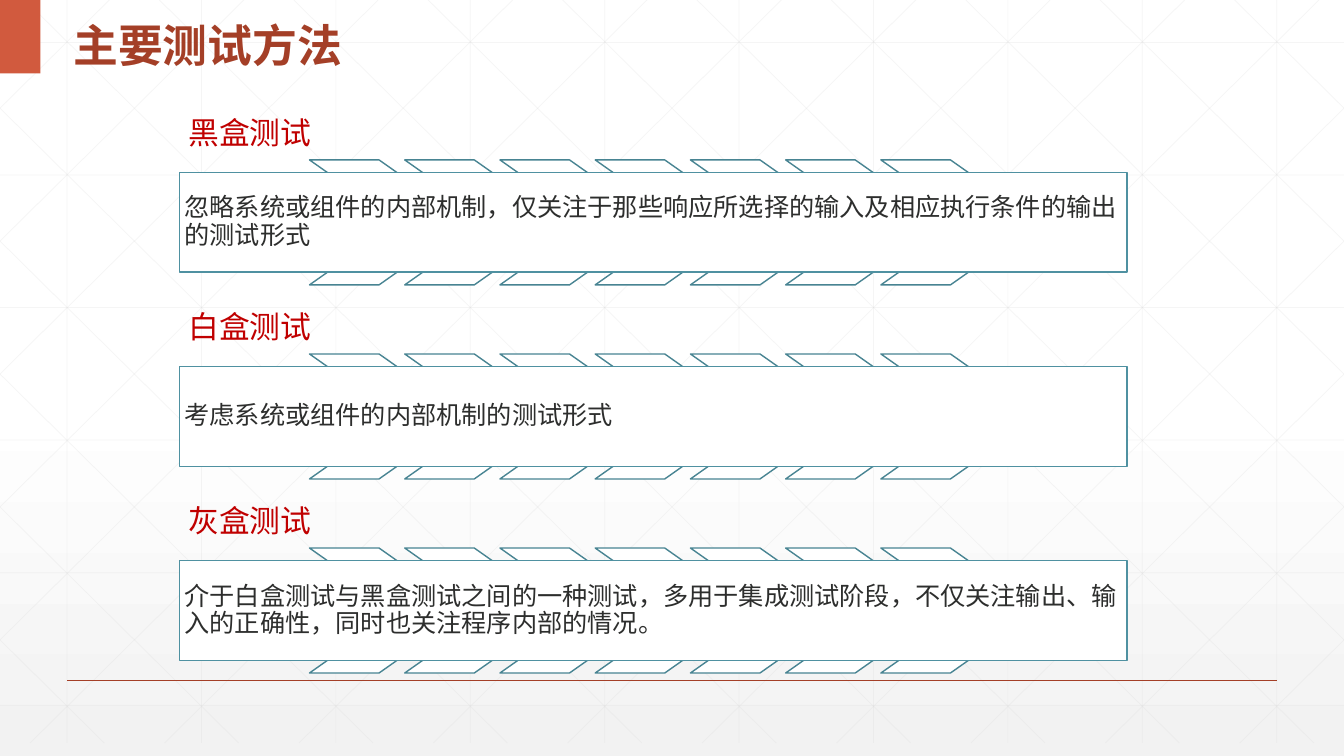
from lxml import etree
from pptx import Presentation
from pptx import util as u
from pptx.dml.color import RGBColor
from pptx.enum import shapes, text
from pptx.oxml.ns import qn

WHITE = RGBColor(0xFF, 0xFF, 0xFF)
PALE = RGBColor(0xF2, 0xF2, 0xF2)
GREY = RGBColor(0xD9, 0xD9, 0xD9)
RUST = RGBColor(0xA4, 0x3F, 0x27)
CORAL = RGBColor(0xD1, 0x5A, 0x3E)
RED = RGBColor(0xC0, 0x00, 0x00)
INK = RGBColor(0x2D, 0x2E, 0x2D)
STEEL = RGBColor(0x48, 0x84, 0x92)
TEAL = RGBColor(0x4F, 0x91, 0xA1)
SANS = "Noto Sans CJK SC"
WIDE, HIGH = 33.87, 19.05

deck = Presentation()
deck.slide_width, deck.slide_height = u.Cm(WIDE), u.Cm(HIGH)
slide = deck.slides.add_slide(deck.slide_layouts[6])


def draw(x1, y1, x2, y2, color, width, alpha=None):
    line = slide.shapes.add_connector(
        shapes.MSO_CONNECTOR.STRAIGHT, u.Cm(x1), u.Cm(y1), u.Cm(x2), u.Cm(y2))
    line.line.color.rgb = color
    line.line.width = u.Pt(width)
    props = line._element.spPr
    etree.SubElement(props, qn("a:effectLst"))
    if alpha:
        tint = props.find(".//" + qn("a:srgbClr"))
        etree.SubElement(tint, qn("a:alpha"), val=str(alpha * 1000))


def write(shape, words, size, color, anchor, inset, space, font=SANS, bold=False):
    frame = shape.text_frame
    frame.word_wrap = True
    frame.vertical_anchor = anchor
    frame.margin_left = frame.margin_right = u.Cm(inset)
    frame.margin_top = frame.margin_bottom = u.Cm(inset)
    para = frame.paragraphs[0]
    para.alignment = text.PP_ALIGN.LEFT
    para.line_spacing = space
    run = para.add_run()
    run.text = words
    run.font.size = u.Pt(size)
    run.font.bold = bold
    run.font.name = font
    run.font.color.rgb = color
    etree.SubElement(run._r.get_or_add_rPr(), qn("a:ea"), typeface=SANS)


# Background shading
fill = slide.background.fill
fill.gradient()
fill.gradient_angle = 270
for stop, place, color in zip(fill.gradient_stops, (0.53, 1), (WHITE, PALE)):
    stop.position = place
    stop.color.rgb = color

# Faint grid: uprights, levels, then diagonals clipped to the slide
STEP, FOOT, RUN = 3.387, 18.72, 18.93
for i in range(10):
    x = 1.69 + STEP * i
    draw(x, 0, x, FOOT, GREY, 0.5, 25)
for i in range(6):
    y = 1.07 + 3.34 * i
    draw(0, y, WIDE, y, GREY, 0.5, 25)
for i in range(-5, 10):
    start = 0.63 + STEP * i
    x1, x2 = max(0, start), min(WIDE, start + RUN)
    y1, y2 = [(x - start) * FOOT / RUN for x in (x1, x2)]
    draw(x1, y1, x2, y2, GREY, 0.5, 25)
    draw(WIDE - x1, y1, WIDE - x2, y2, GREY, 0.5, 25)

# Footer rule, corner block and title
draw(1.69, 17.15, 32.17, 17.15, RUST, 1)
block = slide.shapes.add_shape(
    shapes.MSO_SHAPE.RECTANGLE, 0, 0, u.Cm(1.02), u.Cm(1.85))
block.shadow.inherit = False
block.fill.solid()
block.fill.fore_color.rgb = CORAL
block.line.fill.background()
title = slide.shapes.add_textbox(u.Cm(1.6), 0, u.Cm(14.45), u.Cm(1.85))
write(title, "主要测试方法", 32, RUST, text.MSO_ANCHOR.MIDDLE, 0.25, 1.3, "Arial", True)

# Test methods: heading, row of chevrons, framed description
methods = [
    ("黑盒测试", "忽略系统或组件的内部机制，仅关注于那些响应所选择的输入及相应执行条件的输出的测试形式"),
    ("白盒测试", "考虑系统或组件的内部机制的测试形式"),
    ("灰盒测试", "介于白盒测试与黑盒测试之间的一种测试，多用于集成测试阶段，不仅关注输出、输入的正确性，同时也关注程序内部的情况。"),
]
LEFT = 4.52
for row, (name, about) in enumerate(methods):
    top = 2.49 + 4.89 * row
    head = slide.shapes.add_textbox(u.Cm(LEFT), u.Cm(top), u.Cm(17.04), u.Cm(1.55))
    write(head, name, 22, RED, text.MSO_ANCHOR.BOTTOM, 0.23, 0.9)

    parts = [(shapes.MSO_SHAPE.CHEVRON, 7.8 + 2.4 * i, 1.54, 3.99, 3.15, STEEL)
             for i in range(7)]
    parts.append((shapes.MSO_SHAPE.RECTANGLE, LEFT, 1.86, 23.88, 2.51, TEAL))
    for kind, x, drop, w, h, edge in parts:
        part = slide.shapes.add_shape(
            kind, u.Cm(x), u.Cm(top + drop), u.Cm(w), u.Cm(h))
        part.shadow.inherit = False
        part.fill.solid()
        part.fill.fore_color.rgb = WHITE
        part.line.color.rgb = edge
        part.line.width = u.Pt(1)
        if kind == shapes.MSO_SHAPE.CHEVRON:
            part.adjustments[0] = 0.71
        else:
            write(part, about, 18, INK, text.MSO_ANCHOR.MIDDLE, 0.13, 0.9)

deck.save("out.pptx")
